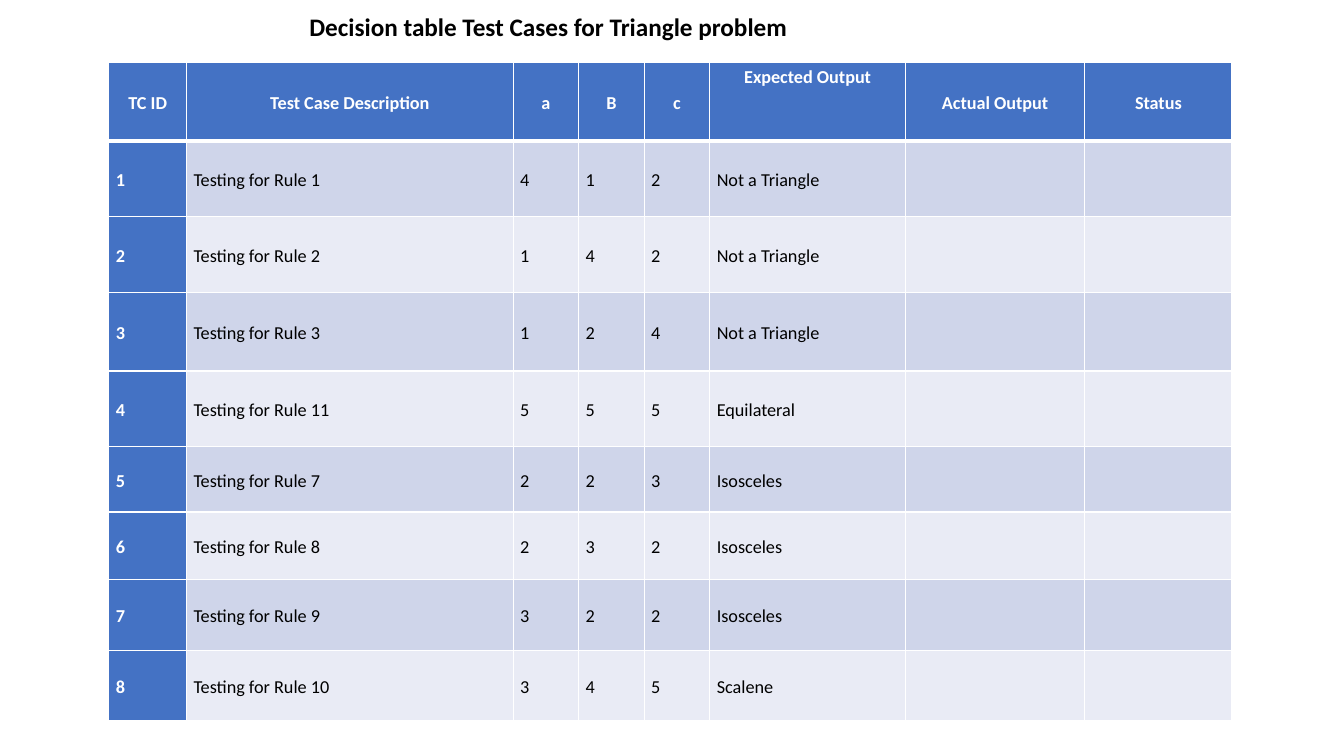
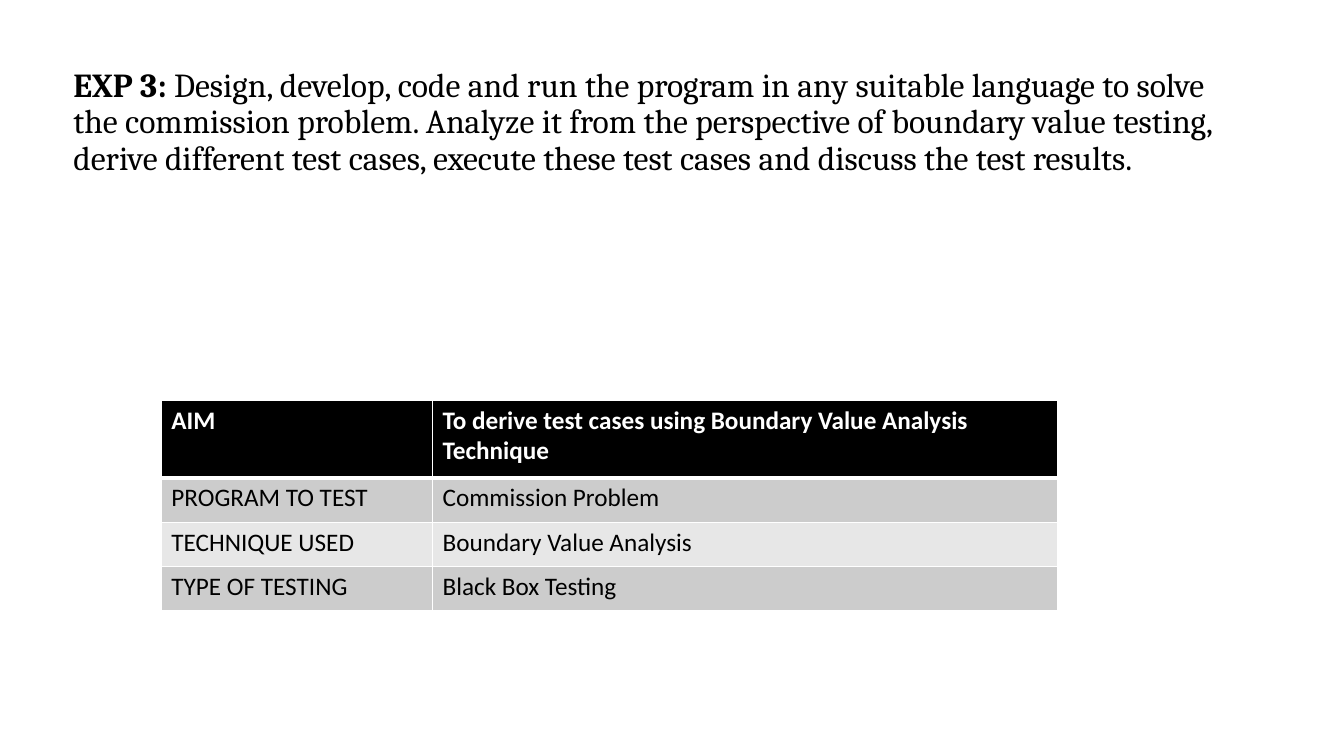
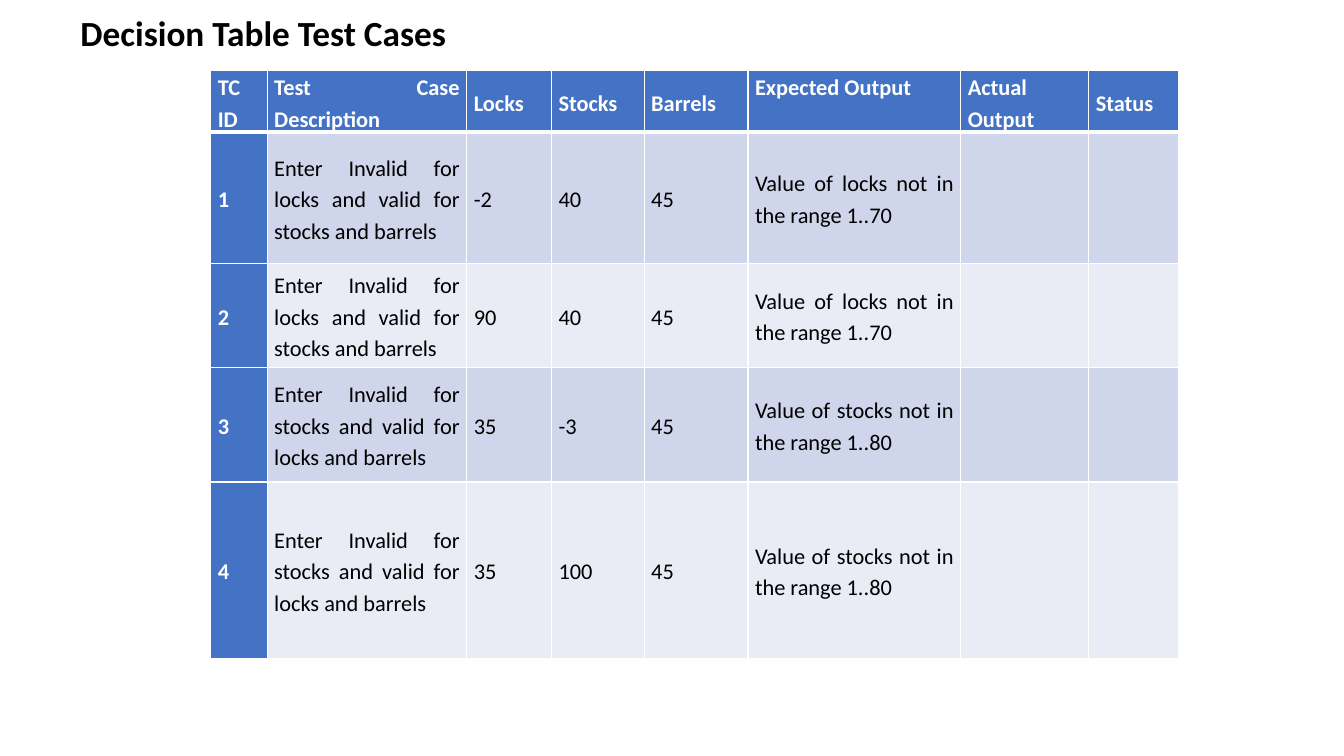
from pptx import Presentation
from pptx.dml.color import RGBColor as RGB
from pptx.enum.text import MSO_ANCHOR as Anchor, PP_ALIGN as Align
from pptx.oxml.xmlchemy import OxmlElement as make
from pptx.util import Inches, Pt

BLACK = RGB(0x00, 0x00, 0x00)
WHITE = RGB(0xFF, 0xFF, 0xFF)
BLUE = RGB(0x44, 0x72, 0xC4)
BLUES = RGB(0xCF, 0xD5, 0xEA), RGB(0xE9, 0xEB, 0xF5)
GREYS = RGB(0xCC, 0xCC, 0xCC), RGB(0xE7, 0xE7, 0xE7)
SANS = "Calibri"
SERIF = "Cambria"
TIGHT = 0.07, 0
LOOSE = 0.1, 0.05


def write(frame, *parts, size=18, font=SANS, color=BLACK, bold=False,
          align=None, lead=None, before=None):
    para = frame.paragraphs[0]
    para.alignment = align
    para.line_spacing = lead
    para.space_before = before
    for part in parts:
        words, heavy = part if isinstance(part, tuple) else (part, bold)
        run = para.add_run()
        run.text = words
        run.font.size = Pt(size)
        run.font.name = font
        run.font.bold = heavy
        run.font.color.rgb = color


def label(slide, box, *parts, anchor=Anchor.TOP, **style):
    frame = slide.shapes.add_textbox(*map(Inches, box)).text_frame
    frame.word_wrap = True
    frame.vertical_anchor = anchor
    write(frame, *parts, **style)


def border(cell, **widths):
    props = cell._tc.get_or_add_tcPr()
    for side in "LRTB":
        line = make(f"a:ln{side}")
        line.set("w", str(Pt(widths.get(side, 1))))
        fill = make("a:solidFill")
        color = make("a:srgbClr")
        color.set("val", str(WHITE))
        fill.append(color)
        line.append(fill)
        props.append(line)


def grid(slide, spot, cols, rows, data, head, bands, size, pad=TIGHT,
         anchor=Anchor.MIDDLE, top=Align.JUSTIFY, align=Align.JUSTIFY,
         lead=1.15, side=True, raised=None):
    box = *spot, sum(cols), sum(rows)
    table = slide.shapes.add_table(len(rows), len(cols), *map(Inches, box)).table
    table.first_col = side
    for col, width in zip(table.columns, cols):
        col.width = Inches(width)
    for r, (row, height) in enumerate(zip(table.rows, rows)):
        row.height = Inches(height)
        for c, cell in enumerate(row.cells):
            first = r == 0
            key = first or side and c == 0
            border(cell, B=3 if first else 1, T=3 if r == 1 else 1)
            cell.fill.solid()
            cell.fill.fore_color.rgb = head if key else bands[(r - 1) % 2]
            if c >= len(data[r]):
                continue
            cell.margin_left = cell.margin_right = Inches(pad[0])
            cell.margin_top = cell.margin_bottom = Inches(pad[1])
            cell.vertical_anchor = Anchor.TOP if first and c == raised else anchor
            write(cell.text_frame, data[r][c], size=size, bold=key,
                  color=WHITE if key else BLACK, lead=lead,
                  align=top if first else align)


def cases(names, tests):
    head = ["TC ID", "Test Case Description", *names,
            "Expected Output", "Actual Output", "Status"]
    return [head] + [[str(n), *map(str, test)] for n, test in enumerate(tests, 1)]


def rules(slide):
    label(slide, (2.97, 0.06, 8.06, 0.4),
          "Decision table Test Cases for Triangle problem", bold=True)
    tests = [
        (1, 4, 1, 2, "Not a Triangle"),
        (2, 1, 4, 2, "Not a Triangle"),
        (3, 1, 2, 4, "Not a Triangle"),
        (11, 5, 5, 5, "Equilateral"),
        (7, 2, 2, 3, "Isosceles"),
        (8, 2, 3, 2, "Isosceles"),
        (9, 3, 2, 2, "Isosceles"),
        (10, 3, 4, 5, "Scalene"),
    ]
    data = cases("aBc", [(f"Testing for Rule {n}", *rest) for n, *rest in tests])
    grid(slide, (1.08, 0.62),
         [0.77, 3.24, 0.65, 0.65, 0.65, 1.94, 1.78, 1.46],
         [0.78, 0.75, 0.75, 0.78, 0.75, 0.65, 0.67, 0.7, 0.7],
         data, BLUE, BLUES, 13, top=Align.CENTER, raised=5)


def brief(slide):
    label(slide, (0.63, 0.63, 11.5, 4.76), ("EXP 3: ", True),
          "Design, develop, code and run the program in any suitable language "
          "to solve the commission problem. Analyze it from the perspective of "
          "boundary value testing, derive different test cases, execute these "
          "test cases and discuss the test results.",
          size=24, font=SERIF, lead=0.9, before=Pt(10))
    data = [
        ("AIM", "To derive test cases using Boundary Value Analysis Technique"),
        ("PROGRAM TO TEST", "Commission Problem"),
        ("TECHNIQUE USED", "Boundary Value Analysis"),
        ("TYPE OF TESTING", "Black Box Testing"),
    ]
    grid(slide, (1.6, 3.97), [2.69, 6.2], [0.77] + [0.44] * 3, data, BLACK,
         GREYS, 18, pad=LOOSE, anchor=Anchor.TOP, top=None, align=None,
         lead=None, side=False)


def sales(slide):
    label(slide, (0.7, 0.21, 11.5, 0.27), "Decision Table Test Cases",
          size=25.2, bold=True, lead=0.9, anchor=Anchor.MIDDLE)
    tests = [
        ("locks", "stocks", -2, 40, 70),
        ("locks", "stocks", 90, 40, 70),
        ("stocks", "locks", 35, -3, 80),
        ("stocks", "locks", 35, 100, 80),
    ]
    data = cases(("Locks", "Stocks", "Barrels"), [
        (f"Enter Invalid for {bad} and valid for {good} and barrels",
         locks, stocks, 45, f"Value of {bad} not in the range 1..{most}")
        for bad, good, locks, stocks, most in tests])
    grid(slide, (2.09, 0.7),
         [0.56, 1.98, 0.84, 0.92, 1.03, 2.11, 1.27, 0.89],
         [0.61, 1.3, 1.03, 1.14, 1.75],
         data, BLUE, BLUES, 16, raised=5)


def main():
    deck = Presentation()
    deck.slide_width = Inches(13.33)
    deck.slide_height = Inches(7.5)
    for build in (rules, brief, sales):
        build(deck.slides.add_slide(deck.slide_layouts[6]))
    deck.save("out.pptx")


if __name__ == "__main__":
    main()
